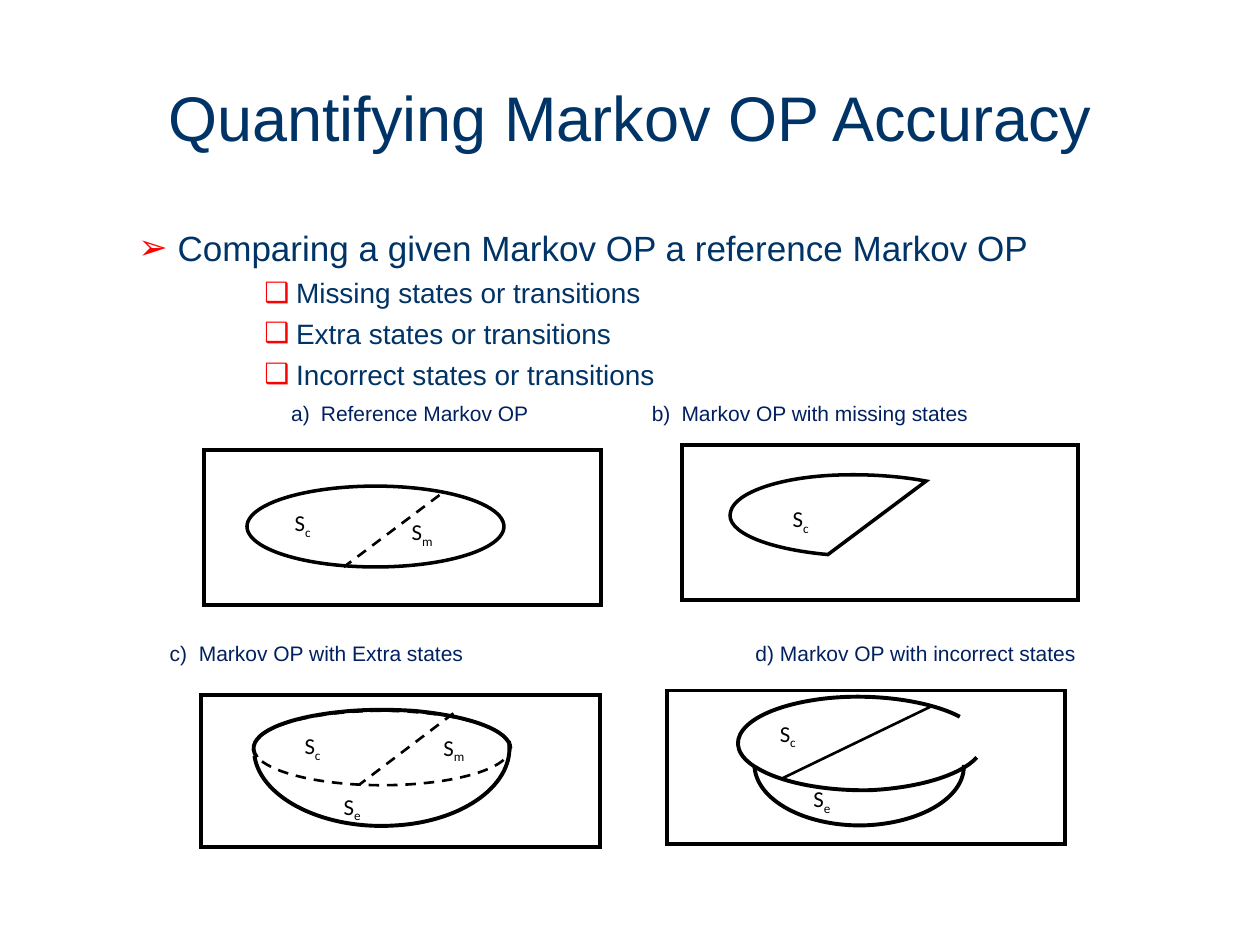
"""Build the slide on quantifying Markov OP accuracy."""
import pptx
import pptx.util
import pptx.dml.color
import pptx.enum.dml
import pptx.enum.shapes
import pptx.enum.text
import pptx.oxml.ns
from lxml import etree

Cm = pptx.util.Cm
Pt = pptx.util.Pt
qn = pptx.oxml.ns.qn
SHAPES = pptx.enum.shapes.MSO_SHAPE
ALIGN = pptx.enum.text.PP_ALIGN
ANCHOR = pptx.enum.text.MSO_ANCHOR
DASH = pptx.enum.dml.MSO_LINE.DASH

BLACK = pptx.dml.color.RGBColor(0x00, 0x00, 0x00)
WHITE = pptx.dml.color.RGBColor(0xFF, 0xFF, 0xFF)
RED = pptx.dml.color.RGBColor(0xFF, 0x00, 0x00)
BLUE = pptx.dml.color.RGBColor(0x00, 0x33, 0x66)
NAVY = pptx.dml.color.RGBColor(0x00, 0x20, 0x60)


def write(box, text, size, color, font="Arial", align=ALIGN.LEFT, subscript="",
          bullet="", margin=0, hang=0, before=0):
    frame = box.text_frame
    frame.word_wrap = True
    para = frame.add_paragraph() if frame.text else frame.paragraphs[0]
    para.alignment = align
    para.space_before = Pt(before)
    props = para._p.get_or_add_pPr()
    props.set("marL", str(Cm(margin)))
    props.set("indent", str(-Cm(hang)))
    if bullet:
        tint = etree.SubElement(props, qn("a:buClr"))
        etree.SubElement(tint, qn("a:srgbClr")).set("val", str(RED))
        etree.SubElement(props, qn("a:buFont")).set("typeface", font)
        etree.SubElement(props, qn("a:buChar")).set("char", bullet)
    for part, baseline in ((text, 0), (subscript, -25000)):
        if part:
            span = para.add_run()
            span.text = part
            span.font.size = Pt(size)
            span.font.name = font
            span.font.color.rgb = color
            if baseline:
                span._r.get_or_add_rPr().set("baseline", str(baseline))


def style(shape, width, dash=None, fill=None):
    shape.shadow.inherit = False
    shape.line.color.rgb = BLACK
    shape.line.width = Pt(width)
    if dash:
        shape.line.dash_style = dash
    etree.SubElement(shape.line._get_or_add_ln(), qn("a:miter")).set("lim", "800000")
    if fill is None:
        shape.fill.background()
    else:
        shape.fill.solid()
        shape.fill.fore_color.rgb = fill


deck = pptx.Presentation()
deck.slide_width = Cm(25.4)
deck.slide_height = Cm(19.05)
page = deck.slides.add_slide(deck.slide_layouts[6])

title = page.shapes.add_textbox(Cm(1.27), Cm(0.76), Cm(22.86), Cm(3.18))
title.text_frame.vertical_anchor = ANCHOR.MIDDLE
write(title, "Quantifying Markov OP Accuracy", 36, BLUE, align=ALIGN.CENTER)

body = page.shapes.add_textbox(Cm(1.27), Cm(4.45), Cm(22.86), Cm(12.57))
write(body, "Comparing a given Markov OP a reference Markov OP", 20, BLUE,
      bullet="➢", margin=2.06, hang=0.79)
for kind in ("Missing", "Extra", "Incorrect"):
    write(body, f"{kind} states or transitions", 16, BLUE,
          bullet="❑", margin=4.45, hang=0.64, before=4)

outlines = [
    (SHAPES.OVAL, 4.98, 9.8, 5.18, 1.63, 2, None, WHITE),
    (SHAPES.RECTANGLE, 4.11, 9.07, 8, 3.12, 2.25, None, None),
    (SHAPES.RECTANGLE, 13.74, 8.97, 8, 3.12, 2.25, None, None),
    (SHAPES.RECTANGLE, 4.06, 14.02, 8.03, 3.05, 2.25, None, None),
    (SHAPES.RECTANGLE, 13.44, 13.92, 8.03, 3.1, 2.25, None, None),
    (SHAPES.OVAL, 5.11, 14.33, 5.18, 1.5, 1.5, DASH, WHITE),
]
for preset, left, top, width, height, weight, dash, fill in outlines:
    shape = page.shapes.add_shape(preset, Cm(left), Cm(top), Cm(width), Cm(height))
    style(shape, weight, dash, fill)

missing_wedge = [(16.69, 11.18), (15.47, 11.07), (14.6, 10.72), (14.73, 10.31),
                 (14.83, 9.93), (15.7, 9.63), (16.81, 9.58),
                 (17.48, 9.55), (18.14, 9.6), (18.67, 9.7)]
extra_bowl = [(10.26, 14.94), (10.39, 15.8), (9.35, 16.56), (7.98, 16.64),
              (6.55, 16.74), (5.26, 16.1), (5.13, 15.24)]
extra_rim = [(5.18, 15.27), (4.88, 14.86), (5.61, 14.48), (6.88, 14.35),
             (7.34, 14.3), (7.85, 14.3), (8.33, 14.33),
             (9.47, 14.43), (10.29, 14.73), (10.29, 15.09)]
incorrect_base = [(19.69, 15.27), (19.38, 15.62), (18.54, 15.88), (17.55, 15.93),
                  (16.61, 15.95), (15.72, 15.77), (15.24, 15.47)]
incorrect_bowl = [(19.43, 15.42), (19.46, 16.08), (18.54, 16.61), (17.4, 16.64),
                  (16.23, 16.66), (15.24, 16.13), (15.21, 15.44)]
incorrect_rim = [(15.27, 15.49), (14.45, 15.01), (14.96, 14.35), (16.36, 14.12),
                 (17.42, 13.94), (18.69, 14.1), (19.35, 14.45)]
curves = [(missing_wedge, True, 2, WHITE)] + [
    (arc, False, 2.25, None)
    for arc in (extra_bowl, extra_rim, incorrect_base, incorrect_bowl, incorrect_rim)]
for knots, closed, weight, fill in curves:
    start, *controls = [(Cm(x), Cm(y)) for x, y in knots]
    builder = page.shapes.build_freeform(*start)
    builder.add_line_segments(controls, close=closed)
    curve = builder.convert_to_shape()
    segments = list(curve._element.iter(qn("a:lnTo")))
    for first in range(0, len(segments), 3):
        bezier = etree.Element(qn("a:cubicBezTo"))
        segments[first].addprevious(bezier)
        for segment in segments[first:first + 3]:
            bezier.append(segment[0])
            segment.getparent().remove(segment)
    style(curve, weight, fill=fill)

dividers = [(8.86, 9.98, 6.93, 11.43, DASH),
            (9.14, 14.38, 7.24, 15.82, DASH),
            (18.75, 14.25, 15.75, 15.7, None)]
for x1, y1, x2, y2, dash in dividers:
    divider = page.shapes.add_connector(
        pptx.enum.shapes.MSO_CONNECTOR.STRAIGHT, Cm(x1), Cm(y1), Cm(x2), Cm(y2))
    divider.line.color.rgb = BLACK
    divider.line.width = Pt(1.5)
    if dash:
        divider.line.dash_style = dash
    etree.SubElement(divider._element.spPr, qn("a:effectLst"))

captions = [("a)\tReference Markov OP", 5.62, 7.95, 0.6),
            ("b)\tMarkov OP with missing states", 12.89, 7.95, 0.6),
            ("c)\tMarkov OP with Extra states", 3.17, 12.78, 0.59),
            ("d) Markov OP with incorrect states", 14.98, 12.78, 0)]
for text, left, top, hang in captions:
    caption = page.shapes.add_textbox(Cm(left), Cm(top), Cm(9), Cm(0.76))
    write(caption, text, 12, NAVY, margin=hang, hang=hang)

state_sets = [("c", 5.69, 10.13), ("m", 8.05, 10.31), ("c", 15.73, 10.06),
              ("c", 5.89, 14.63), ("m", 8.69, 14.66), ("e", 6.68, 15.85),
              ("c", 15.47, 14.38), ("e", 16.15, 15.7)]
for subscript, left, top in state_sets:
    label = page.shapes.add_textbox(Cm(left), Cm(top), Cm(1.2), Cm(0.89))
    write(label, "S", 13, BLACK, font="Calibri", subscript=subscript)

deck.save("out.pptx")
